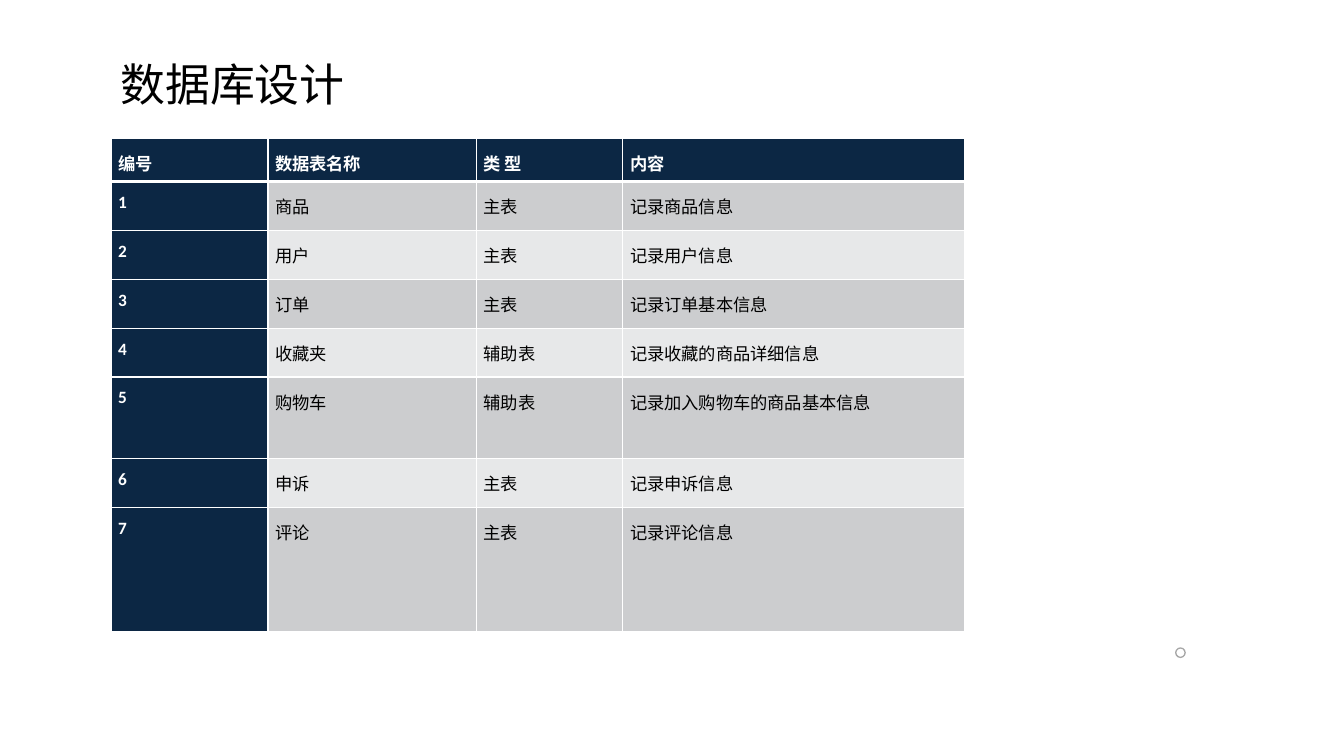
from dataclasses import dataclass

from lxml.etree import SubElement
from pptx import Presentation
from pptx.dml.color import RGBColor
from pptx.enum.shapes import MSO_SHAPE
from pptx.enum.text import MSO_AUTO_SIZE, PP_ALIGN
from pptx.oxml.ns import qn
from pptx.util import Cm, Pt


@dataclass(frozen=True)
class Theme:
    font: str = "Calibri"
    title_size: float = 33.8
    table_size: float = 13
    navy: str = "0C2744"
    dark_band: str = "CCCDCF"
    light_band: str = "E7E8E9"
    white: str = "FFFFFF"
    black: str = "000000"
    gray: str = "A6A6A6"


THEME = Theme()
COLUMN_WIDTHS = (4.17, 5.54, 3.89, 9.07)
ROW_HEIGHTS = (1.14, 1.3, 1.3, 1.3, 1.3, 2.16, 1.3, 3.3)
HEADINGS = ("编号", "数据表名称", "类 型", "内容")
DATA_TABLES = (
    ("商品", "主表", "记录商品信息"),
    ("用户", "主表", "记录用户信息"),
    ("订单", "主表", "记录订单基本信息"),
    ("收藏夹", "辅助表", "记录收藏的商品详细信息"),
    ("购物车", "辅助表", "记录加入购物车的商品基本信息"),
    ("申诉", "主表", "记录申诉信息"),
    ("评论", "主表", "记录评论信息"),
)


def rgb(color):
    return RGBColor.from_string(color)


def write_text(frame, text, *, size, color, bold=False, align=PP_ALIGN.LEFT, spacing=1.0):
    paragraph = frame.paragraphs[0]
    paragraph.alignment = align
    paragraph.line_spacing = spacing
    run = paragraph.add_run()
    run.text = text
    run.font.name = THEME.font
    run.font.size = Pt(size)
    run.font.bold = bold
    run.font.color.rgb = rgb(color)


def add_title(slide, text):
    title = slide.shapes.add_textbox(Cm(2.95), Cm(1.37), Cm(6.53), Cm(1.7))
    title.text_frame.word_wrap = False
    title.text_frame.auto_size = MSO_AUTO_SIZE.SHAPE_TO_FIT_TEXT
    write_text(title.text_frame, text, size=THEME.title_size, color=THEME.black)


def add_page_dot(slide):
    dot = slide.shapes.add_shape(MSO_SHAPE.OVAL, Cm(31.24), Cm(17.22), Cm(0.25), Cm(0.25))
    dot.shadow.inherit = False
    dot.fill.solid()
    dot.fill.fore_color.rgb = rgb(THEME.white)
    dot.line.color.rgb = rgb(THEME.gray)
    dot.line.width = Pt(1)


def set_borders(cell, top, bottom):
    properties = cell._tc.get_or_add_tcPr()
    for side, width in (("L", 1), ("R", 1), ("T", top), ("B", bottom)):
        border = SubElement(properties, qn(f"a:ln{side}"), w=str(Pt(width)))
        fill = SubElement(border, qn("a:solidFill"))
        SubElement(fill, qn("a:srgbClr"), val=THEME.white)


def fill_cell(cell, text, row, column):
    is_heading = row == 0 or column == 0
    band = THEME.dark_band if row % 2 else THEME.light_band
    set_borders(cell, top=3 if row == 1 else 1, bottom=3 if row == 0 else 1)
    cell.fill.solid()
    cell.fill.fore_color.rgb = rgb(THEME.navy if is_heading else band)
    cell.margin_left = cell.margin_right = Cm(0.19)
    cell.margin_top = cell.margin_bottom = Cm(0)
    write_text(
        cell.text_frame,
        text,
        size=THEME.table_size,
        color=THEME.white if is_heading else THEME.black,
        bold=is_heading,
        align=PP_ALIGN.JUSTIFY,
        spacing=1.5,
    )


def add_database_table(slide):
    numbered = [(str(number), *entry) for number, entry in enumerate(DATA_TABLES, 1)]
    rows = [HEADINGS, *numbered]
    table = slide.shapes.add_table(
        len(rows), len(HEADINGS), Cm(2.95), Cm(3.68), Cm(sum(COLUMN_WIDTHS)), Cm(sum(ROW_HEIGHTS))
    ).table
    table.first_col = True
    for column, width in zip(table.columns, COLUMN_WIDTHS):
        column.width = Cm(width)
    for row, height in zip(table.rows, ROW_HEIGHTS):
        row.height = Cm(height)
    for row, texts in enumerate(rows):
        for column, text in enumerate(texts):
            fill_cell(table.cell(row, column), text, row, column)


def main():
    presentation = Presentation()
    presentation.slide_width = Cm(35.71)
    presentation.slide_height = Cm(20.09)
    slide = presentation.slides.add_slide(presentation.slide_layouts[6])
    add_title(slide, "数据库设计")
    add_page_dot(slide)
    add_database_table(slide)
    presentation.save("out.pptx")


if __name__ == "__main__":
    main()
